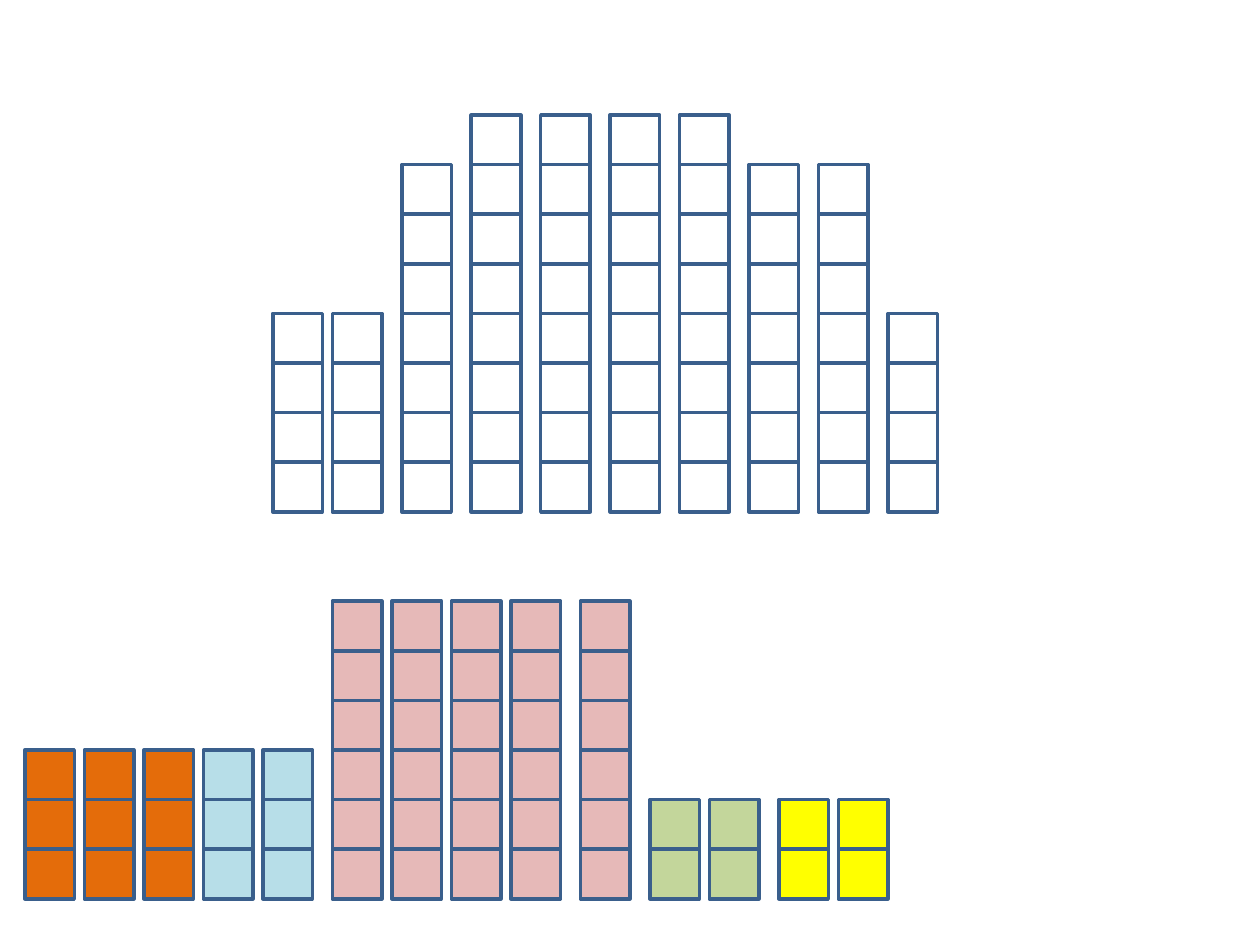
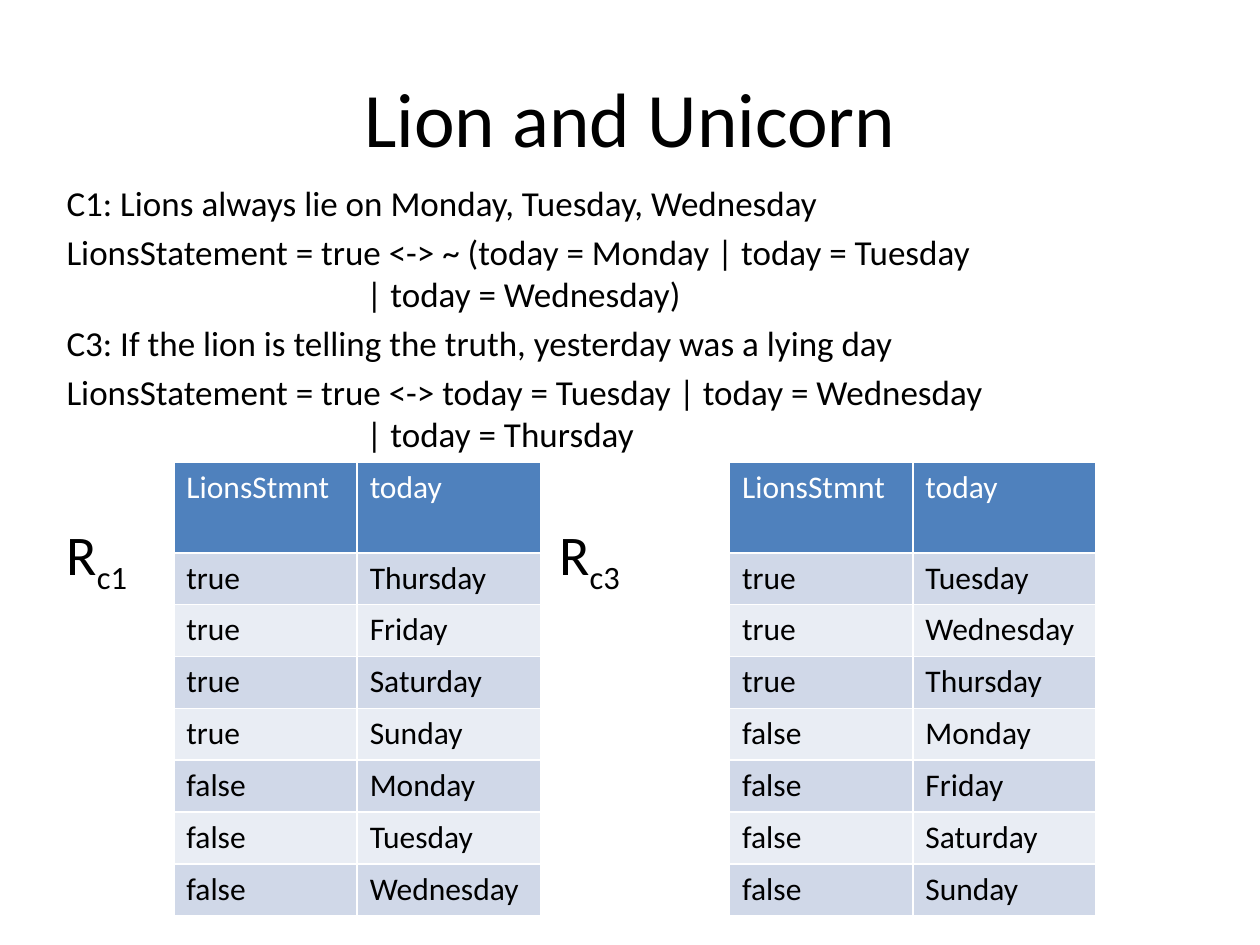
from dataclasses import dataclass

from lxml import etree
from pptx import Presentation
from pptx.dml.color import RGBColor
from pptx.enum.shapes import MSO_SHAPE
from pptx.enum.text import MSO_ANCHOR, PP_ALIGN
from pptx.oxml.ns import qn
from pptx.util import Inches, Pt

RECTANGLE = MSO_SHAPE.RECTANGLE
LEFT, CENTER = PP_ALIGN.LEFT, PP_ALIGN.CENTER
TOP, MIDDLE = MSO_ANCHOR.TOP, MSO_ANCHOR.MIDDLE


@dataclass(frozen=True)
class Theme:
    font: str = "Calibri"
    text: str = "000000"
    white: str = "FFFFFF"
    outline: str = "3A5F8C"
    orange: str = "E46C0A"
    blue: str = "B7DEE8"
    pink: str = "E6B9B8"
    green: str = "C3D69B"
    yellow: str = "FFFF00"
    header: str = "4F81BD"
    bands: tuple = ("D0D8E8", "E9EDF4")
    title_size: int = 44
    label_size: int = 32
    body_size: int = 20
    table_size: int = 18
    outline_width: int = 2
    border_width: int = 1


theme = Theme()
deck = Presentation()
deck.slide_width, deck.slide_height = Inches(10), Inches(7.5)
WIDTH, HEIGHT = deck.slide_width, deck.slide_height
blank = deck.slide_layouts[6]


def write(para, text, size=theme.body_size, color=theme.text, align=LEFT, baseline=0):
    """Add one formatted span of text to a paragraph."""
    para.alignment = align
    span = para.add_run()
    span.text = text
    span.font.name = theme.font
    span.font.size = Pt(size)
    span.font.bold = False
    span.font.color.rgb = RGBColor.from_string(color)
    if baseline:
        span.font._element.set("baseline", str(baseline * 1000))


def add_frame(page, left, top, width, height, anchor=TOP):
    """Add a wrapping text box placed by shares of the slide."""
    box = page.shapes.add_textbox(
        int(left * WIDTH), int(top * HEIGHT), int(width * WIDTH), int(height * HEIGHT))
    box.text_frame.word_wrap = True
    box.text_frame.vertical_anchor = anchor
    return box.text_frame


# Slide 1: towers of square blocks on a grid of 127 columns
page = deck.slides.add_slide(blank)
UNIT = WIDTH / 127
BLOCK = 5

# Each tower: gap before it in grid columns, number of blocks, fill
plain_towers = [(0, 4, None), (1, 4, None)]
plain_towers += [(2, count, None) for count in (7, 8, 8, 8, 8, 7, 7, 4)]
colored_towers = [
    (0, 3, theme.orange), *[(1, 3, theme.orange)] * 2,
    *[(1, 3, theme.blue)] * 2,
    (2, 6, theme.pink), *[(1, 6, theme.pink)] * 3, (2, 6, theme.pink),
    (2, 2, theme.green), (1, 2, theme.green),
    (2, 2, theme.yellow), (1, 2, theme.yellow),
]

for column, floor, towers in ((27.5, 51.6, plain_towers), (2.5, 90.6, colored_towers)):
    for gap, count, fill in towers:
        column += gap
        for level in range(count, 0, -1):
            block = page.shapes.add_shape(
                RECTANGLE, int(column * UNIT), int((floor - level * BLOCK) * UNIT),
                int(BLOCK * UNIT), int(BLOCK * UNIT))
            block.shadow.inherit = False
            block.line.color.rgb = RGBColor.from_string(theme.outline)
            block.line.width = Pt(theme.outline_width)
            if fill:
                block.fill.solid()
                block.fill.fore_color.rgb = RGBColor.from_string(fill)
            else:
                block.fill.background()
        column += BLOCK

# Slide 2: title
page = deck.slides.add_slide(blank)
frame = add_frame(page, 0.05, 0.04, 0.9, 0.167, anchor=MIDDLE)
write(frame.paragraphs[0], "Lion and Unicorn", size=theme.title_size, align=CENTER)

# Statements, each with an optional continuation line
statements = [
    ("C1: Lions always lie on Monday, Tuesday, Wednesday", None),
    ("LionsStatement = true <-> ~ (today = Monday | today = Tuesday",
     "| today = Wednesday)"),
    ("C3: If the lion is telling the truth, yesterday was a lying day", None),
    ("LionsStatement = true <-> today = Tuesday | today = Wednesday",
     "| today = Thursday"),
]
HANGING = Inches(0.38)
frame = add_frame(page, 0.043, 0.185, 0.9, 0.3)
para = frame.paragraphs[0]
for number, (statement, continuation) in enumerate(statements):
    if number:
        para = frame.add_paragraph()
        para.space_before = Pt(0.2 * theme.body_size)
    properties = para._p.get_or_add_pPr()
    properties.set("marL", str(HANGING))
    properties.set("indent", str(-HANGING))
    write(para, statement)
    if continuation:
        para = frame.add_paragraph()
        para._p.get_or_add_pPr().set("marL", str(HANGING + Inches(2)))
        write(para, continuation)

# Relation labels and their tables
relations = [
    ("c1", 0.043, 0.138,
     ["Thursday", "Friday", "Saturday", "Sunday"],
     ["Monday", "Tuesday", "Wednesday"]),
    ("c3", 0.434, 0.579,
     ["Tuesday", "Wednesday", "Thursday"],
     ["Monday", "Friday", "Saturday", "Sunday"]),
]
for name, label_left, table_left, true_days, false_days in relations:
    para = add_frame(page, label_left, 0.543, 0.09, 0.09).paragraphs[0]
    write(para, "R", size=theme.label_size)
    write(para, name, size=theme.label_size, baseline=-25)

    rows = [("LionsStmnt", "today")]
    rows += [("true", day) for day in true_days]
    rows += [("false", day) for day in false_days]
    table = page.shapes.add_table(
        len(rows), 2, int(table_left * WIDTH), int(0.489 * HEIGHT),
        int(0.291 * WIDTH), int(0.48 * HEIGHT)).table
    for row, values in enumerate(rows):
        table.rows[row].height = int((0.0549 if row else 0.096) * HEIGHT)
        fill = theme.bands[(row - 1) % 2] if row else theme.header
        color = theme.text if row else theme.white
        for column, value in enumerate(values):
            cell = table.cell(row, column)
            properties = cell._tc.get_or_add_tcPr()
            for side in ("a:lnL", "a:lnR", "a:lnT", "a:lnB"):
                border = etree.SubElement(
                    properties, qn(side), w=str(Pt(theme.border_width)))
                paint = etree.SubElement(border, qn("a:solidFill"))
                etree.SubElement(paint, qn("a:srgbClr"), val=theme.white)
            cell.fill.solid()
            cell.fill.fore_color.rgb = RGBColor.from_string(fill)
            write(cell.text_frame.paragraphs[0], value,
                  size=theme.table_size, color=color)

deck.save("out.pptx")
